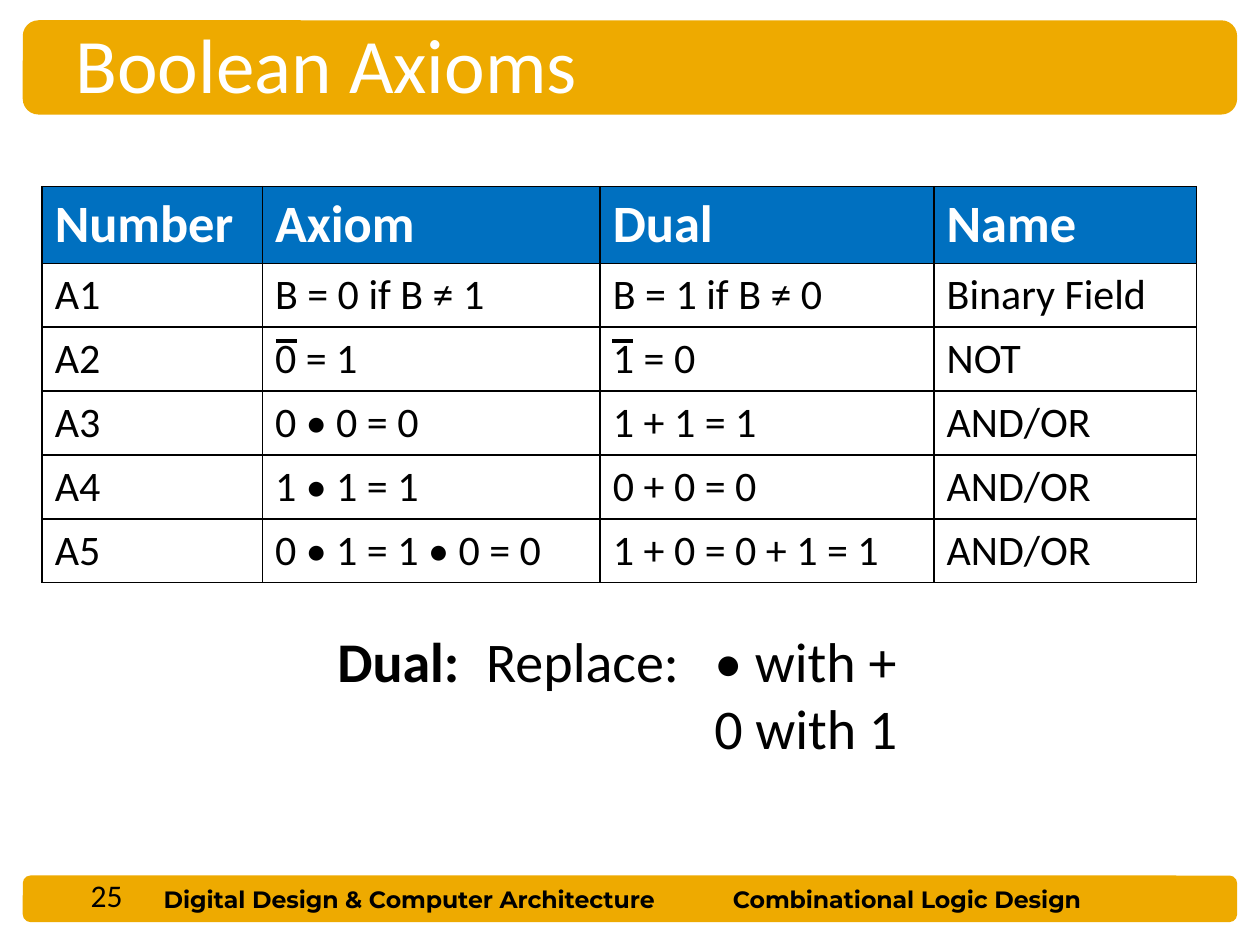
from dataclasses import dataclass

from lxml.etree import SubElement
from pptx import Presentation
from pptx.dml.color import RGBColor
from pptx.enum.shapes import MSO_CONNECTOR, MSO_SHAPE
from pptx.enum.text import MSO_ANCHOR, MSO_AUTO_SIZE, PP_ALIGN
from pptx.oxml.ns import qn
from pptx.util import Cm, Pt


@dataclass(frozen=True)
class Theme:
    gold: str = "EEAA00"
    blue: str = "0070C0"
    white: str = "FFFFFF"
    black: str = "000000"
    body: str = "Calibri"
    foot: str = "Montserrat"
    title: float = 44
    note: float = 32
    head: float = 30
    cell: float = 24
    page: float = 18
    small: float = 13.5


class Deck:
    """Draws styled elements on the current slide."""

    def __init__(self, theme):
        self.theme = theme
        self.show = Presentation()
        self.show.slide_width, self.show.slide_height = Cm(25.4), Cm(19.05)
        self.slide = self.show.slides.add_slide(self.show.slide_layouts[5])
        self.shapes = self.slide.shapes

    def style(self, para, size, color=None, bold=None, face=None):
        font = para.font
        font.size, font.bold = Pt(size), bold
        font.name = face or self.theme.body
        font.color.rgb = RGBColor.from_string(color or self.theme.black)

    def paint(self, fill, color):
        fill.solid()
        fill.fore_color.rgb = RGBColor.from_string(color)

    def bar(self, top, height):
        bar = self.shapes.add_shape(
            MSO_SHAPE.ROUNDED_RECTANGLE, Cm(0.46), Cm(top), Cm(24.48), Cm(height))
        bar.shadow.inherit = False
        self.paint(bar.fill, self.theme.gold)
        bar.line.fill.background()

    def title(self, text, left, top, width, height):
        title = self.shapes.title
        self.shapes._spTree.append(title._element)
        title.left, title.top = Cm(left), Cm(top)
        title.width, title.height = Cm(width), Cm(height)
        frame = title.text_frame
        frame.text = text
        frame.auto_size = MSO_AUTO_SIZE.NONE
        frame.vertical_anchor = MSO_ANCHOR.MIDDLE
        para = frame.paragraphs[0]
        para.alignment = PP_ALIGN.LEFT
        self.style(para, self.theme.title, self.theme.white)

    def box(self, left, top, width, height):
        frame = self.shapes.add_textbox(
            Cm(left), Cm(top), Cm(width), Cm(height)).text_frame
        frame.word_wrap = True
        return frame

    def label(self, text, left, top, width, height, align, **look):
        frame = self.box(left, top, width, height)
        frame.vertical_anchor = MSO_ANCHOR.MIDDLE
        para = frame.paragraphs[0]
        para.text, para.alignment = text, align
        self.style(para, **look)

    def note(self, lead, parts, rest, stops, left, top, width, height):
        frame = self.box(left, top, width, height)
        para = frame.paragraphs[0]
        tabs = SubElement(para._p.get_or_add_pPr(), qn("a:tabLst"))
        for stop in stops:
            SubElement(tabs, qn("a:tab"), pos=str(Cm(stop)), algn="l")
        self.style(para, self.theme.note)
        run = para.add_run()
        run.text, run.font.bold = lead, True
        para.add_run().text = "".join("\t" + part for part in parts)
        last = frame.add_paragraph()
        last.text = rest
        last._p.get_or_add_pPr().set("marL", str(Cm(stops[-1])))
        self.style(last, self.theme.note)

    def edge(self, cell):
        props = cell._tc.get_or_add_tcPr()
        for side in ("lnL", "lnR", "lnT", "lnB"):
            line = SubElement(props, qn("a:" + side), w=str(Pt(1)))
            fill = SubElement(line, qn("a:solidFill"))
            SubElement(fill, qn("a:srgbClr"), val=self.theme.black)

    def table(self, rows, left, top, widths, heights):
        theme = self.theme
        grid = self.shapes.add_table(
            len(rows), len(widths), Cm(left), Cm(top),
            Cm(sum(widths)), Cm(sum(heights))).table
        for col, width in zip(grid.columns, widths):
            col.width = Cm(width)
        for i, (row, height) in enumerate(zip(rows, heights)):
            grid.rows[i].height = Cm(height)
            for j, text in enumerate(row):
                cell = grid.cell(i, j)
                cell.text = text
                self.edge(cell)
                para = cell.text_frame.paragraphs[0]
                if i == 0:
                    self.paint(cell.fill, theme.blue)
                    self.style(para, theme.head, theme.white, True)
                else:
                    self.paint(cell.fill, theme.white)
                    self.style(para, theme.cell, bold=False)

    def line(self, left, top, width):
        line = self.shapes.add_connector(
            MSO_CONNECTOR.STRAIGHT, Cm(left), Cm(top), Cm(left + width), Cm(top))
        line.line.width = Pt(2)
        line.line.color.rgb = RGBColor.from_string(self.theme.black)
        SubElement(line._element.spPr, qn("a:effectLst"))


def main():
    theme = Theme()
    deck = Deck(theme)
    deck.bar(17.65, 0.94)
    deck.bar(0.41, 1.9)
    foot = dict(size=theme.small, bold=True, face=theme.foot)
    deck.label("Digital Design & Computer Architecture",
               3.05, 17.7, 11.28, 0.84, PP_ALIGN.LEFT, **foot)
    deck.label("Combinational Logic Design",
               11.86, 17.7, 12.85, 0.84, PP_ALIGN.CENTER, **foot)
    deck.title("Boolean Axioms", 1.27, 0.2, 22.02, 2.13)
    rows = [
        ("Number", "Axiom", "Dual", "Name"),
        ("A1", "B = 0 if B ≠ 1", "B = 1 if B ≠ 0", "Binary Field"),
        ("A2", "0 = 1", "1 = 0", "NOT"),
        ("A3", "0 • 0 = 0", "1 + 1 = 1", "AND/OR"),
        ("A4", "1 • 1 = 1", "0 + 0 = 0", "AND/OR"),
        ("A5", "0 • 1 = 1 • 0 = 0", "1 + 0 = 0 + 1 = 1", "AND/OR"),
    ]
    deck.table(rows, 0.85, 3.76, (4.44, 6.81, 6.73, 5.29), [1.52] + [1.27] * 5)
    deck.note("Dual:", ("Replace:", "• with +"), "0 with 1", (3, 7.6),
              6.55, 12.5, 12.2, 3)
    for left in (5.56, 12.34):
        deck.line(left, 6.87, 0.42)
    deck.label("25", 0.5, 17.55, 2.22, 1, PP_ALIGN.RIGHT, size=theme.page)
    deck.show.save("out.pptx")


if __name__ == "__main__":
    main()
